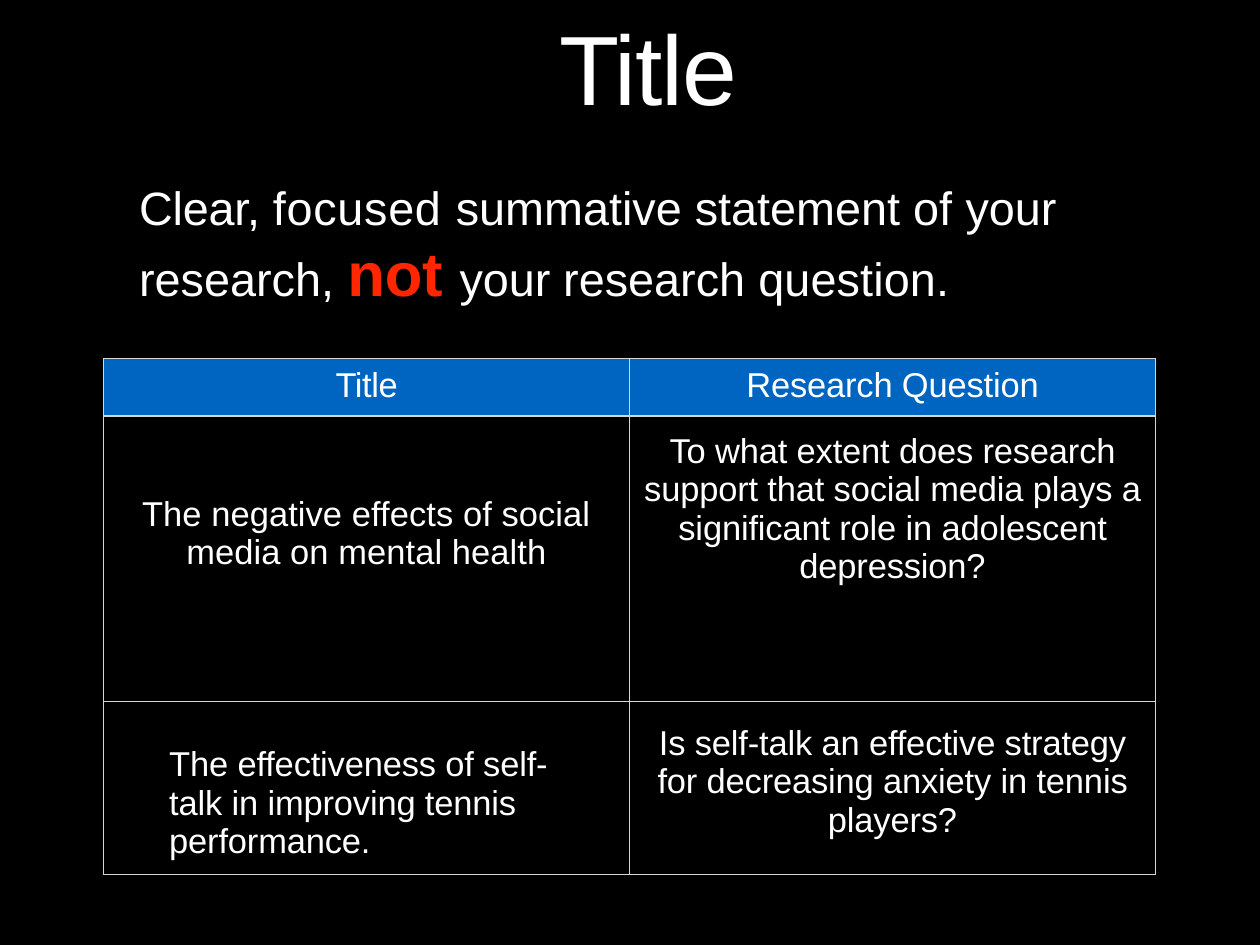
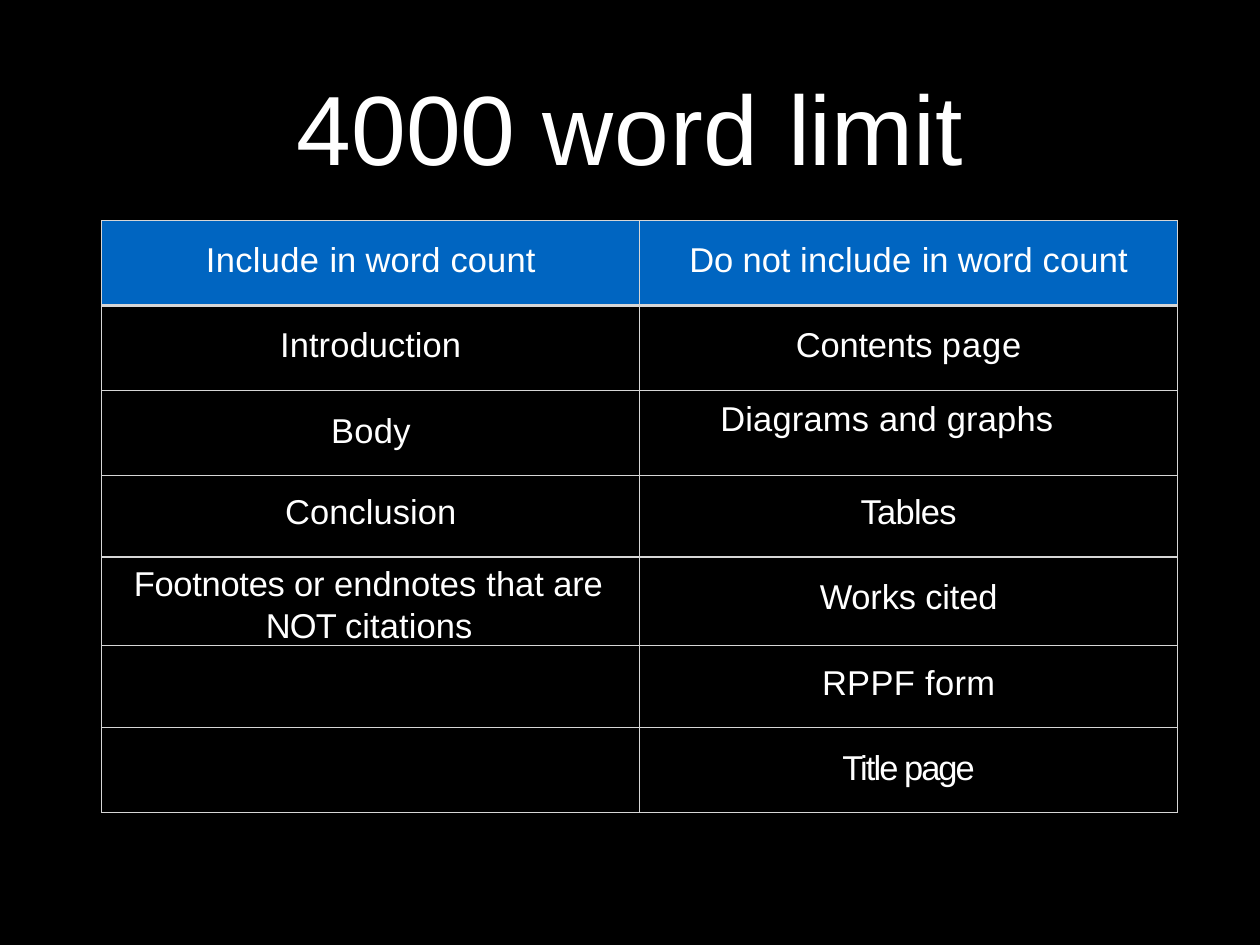
from dataclasses import dataclass

import pptx
import pptx.dml.color
import pptx.enum.text
import pptx.oxml
import pptx.oxml.ns
import pptx.util
from pptx.util import Inches

RGBColor = pptx.dml.color.RGBColor
Pt = pptx.util.Pt
ALIGN = pptx.enum.text.PP_ALIGN

FONT = "Arial"
BLACK = RGBColor(0x00, 0x00, 0x00)
WHITE = RGBColor(0xFF, 0xFF, 0xFF)
RED = RGBColor(0xFF, 0x26, 0x00)
HEADER_BLUE = RGBColor(0x00, 0x65, 0xC1)
BORDER_GREY = RGBColor(0xD6, 0xD6, 0xD6)

TITLE_SIZE, STATEMENT_SIZE, EMPHASIS_SIZE, CELL_SIZE = 80, 38, 50, 28
THIN, THICK = 1, 2.25
TITLE_HEIGHT = 1.36


@dataclass
class Cell:
    """Runs are (text, letter spacing in points); lengths are inches."""
    runs: tuple
    top: float = 0.24
    left: float = 0
    right: float = 0
    centred: bool = True
    hanging: float = 0
    line_points: float = 0


EMPTY = Cell(())

STATEMENT = [
    ("Clear, ", -0.2), ("focused ", 0.6), ("summative statement of ", 0),
    ("your ", -0.1), ("research, ", 0), ("not ", -0.1), ("your ", -0.1),
    ("research ", 0), ("question.", 0.1),
]
EMPHASIS = "not "

WORD_COUNT = (("in ", -0.1), ("word ", 0.1), ("count", 0.2))

SLIDES = [
    {
        "title": [("Title", -0.9)],
        "title_box": (6.31, 0.07, 2.07),
        "statement": STATEMENT,
        "table_box": (1.17, 4.05, 11.87),
        "row_heights": [0.65, 3.22, 1.95],
        "rows": [
            (Cell((("Title", -0.3),), top=0.09),
             Cell((("Research Question", -0.1),), top=0.09)),
            (Cell((("The negative effects of social media on mental health", 0.1),),
                  top=0.89),
             Cell((("To what extent does research support that social media plays "
                    "a significant role in adolescent depression?", -0.1),),
                  top=0.18, left=0.1, right=0.1)),
            (Cell((("The effectiveness of self-talk in improving tennis "
                    "performance.", -0.1),),
                  top=0.5, left=0.74, right=0.6, centred=False),
             Cell((("Is self-talk an effective strategy for decreasing anxiety "
                    "in tennis players?", -0.1),),
                  top=0.26, left=0.1, right=0.1)),
        ],
    },
    {
        "title": [("4000 ", -0.1), ("word ", 0.7), ("limit", -0.1)],
        "title_box": (3.35, 0.75, 7.54),
        "table_box": (1.15, 2.49, 12.14),
        "row_heights": [0.96, 0.96, 0.96, 0.92, 0.96, 0.92, 0.96],
        "rows": [
            (Cell((("Include ", 0.3), *WORD_COUNT)),
             Cell((("Do ", -0.1), ("not ", 0), ("include ", 0.3), *WORD_COUNT))),
            (Cell((("Introduction", 0.1),)),
             Cell((("Contents ", -0.1), ("page", 0.8)))),
            (Cell((("Body", 0.3),), top=0.25),
             Cell((("Diagrams and graphs", 0.2),), top=0.07, left=0.91,
                  centred=False, line_points=34)),
            (Cell((("Conclusion", 0.1),), top=0.2),
             Cell((("Tables", -0.6),), top=0.2)),
            (Cell((("Footnotes ", -0.2), ("or ", -0.1), ("endnotes ", 0.1),
                   ("that ", 0), ("are ", -0.2), ("NOT ", -0.6), ("citations", 0.1)),
                  top=0.06, left=0.36, centred=False, hanging=1.49, line_points=34),
             Cell((("Works cited", -0.1),))),
            (EMPTY, Cell((("RPPF form", 0.3),), top=0.21)),
            (EMPTY, Cell((("Title page", -1.6),), top=0.25)),
        ],
    },
]


def add_run(paragraph, text, spacing, size, color=WHITE, bold=False):
    run = paragraph.add_run()
    run.text = text
    run.font.name = FONT
    run.font.size = Pt(size)
    run.font.bold = bold
    run.font.color.rgb = color
    run._r.get_or_add_rPr().set("spc", str(round(spacing * 100)))


def set_margins(frame, left=0, top=0, right=0, bottom=0):
    """Set the insets of a text frame or a table cell."""
    frame.margin_left, frame.margin_top = Inches(left), Inches(top)
    frame.margin_right, frame.margin_bottom = Inches(right), Inches(bottom)


def prepare_frame(frame):
    frame.word_wrap = True
    frame.auto_size = pptx.enum.text.MSO_AUTO_SIZE.NONE
    frame.vertical_anchor = pptx.enum.text.MSO_ANCHOR.TOP
    set_margins(frame, top=0.01)
    paragraph = frame.paragraphs[0]
    paragraph.alignment = ALIGN.LEFT
    return paragraph


def add_title(slide, runs, box):
    title = slide.shapes.title
    left, top, width = box
    title.left, title.top = Inches(left), Inches(top)
    title.width, title.height = Inches(width), Inches(TITLE_HEIGHT)
    paragraph = prepare_frame(title.text_frame)
    paragraph.line_spacing = 1.0
    for text, spacing in runs:
        add_run(paragraph, text, spacing, TITLE_SIZE)


def add_statement(slide, runs):
    box = slide.shapes.add_textbox(Inches(1.57), Inches(2), Inches(10.88), Inches(1.5))
    paragraph = prepare_frame(box.text_frame)
    paragraph.line_spacing = 1.01
    for text, spacing in runs:
        if text == EMPHASIS:
            add_run(paragraph, text, spacing, EMPHASIS_SIZE, RED, True)
        else:
            add_run(paragraph, text, spacing, STATEMENT_SIZE)


def set_borders(cell, top, bottom):
    properties = cell._tc.get_or_add_tcPr()
    for side, width in (("L", THIN), ("R", THIN), ("T", top), ("B", bottom)):
        properties.append(pptx.oxml.parse_xml(
            f'<a:ln{side} {pptx.oxml.ns.nsdecls("a")} w="{Pt(width)}">'
            f'<a:solidFill><a:srgbClr val="{BORDER_GREY}"/></a:solidFill>'
            f'</a:ln{side}>'))


def fill_cell(cell, content, row_index):
    set_borders(cell, THICK if row_index == 1 else THIN,
                THICK if row_index == 0 else THIN)
    cell.fill.solid()
    cell.fill.fore_color.rgb = BLACK if row_index else HEADER_BLUE
    set_margins(cell, content.left, content.top, content.right)
    paragraph = cell.text_frame.paragraphs[0]
    paragraph.alignment = ALIGN.CENTER if content.centred else ALIGN.LEFT
    if content.line_points:
        paragraph.line_spacing = Pt(content.line_points)
    if content.hanging:
        properties = paragraph._p.get_or_add_pPr()
        properties.set("marL", str(Inches(content.hanging)))
        properties.set("indent", str(-Inches(content.hanging)))
    for text, spacing in content.runs:
        add_run(paragraph, text, spacing, CELL_SIZE)


def add_comparison_table(slide, rows, row_heights, box):
    left, top, width = box
    column_count = len(rows[0])
    table = slide.shapes.add_table(
        len(rows), column_count, Inches(left), Inches(top),
        Inches(width), Inches(sum(row_heights))).table
    table.horz_banding = False
    for column in table.columns:
        column.width = Inches(width / column_count)
    for row_index, (contents, height) in enumerate(zip(rows, row_heights)):
        table.rows[row_index].height = Inches(height)
        for column_index, content in enumerate(contents):
            fill_cell(table.cell(row_index, column_index), content, row_index)


def main():
    presentation = pptx.Presentation()
    presentation.slide_width = Inches(14.22)
    presentation.slide_height = Inches(10.67)
    background = presentation.slide_master.background.fill
    background.solid()
    background.fore_color.rgb = BLACK
    title_only = presentation.slide_layouts.get_by_name("Title Only")
    for content in SLIDES:
        slide = presentation.slides.add_slide(title_only)
        add_title(slide, content["title"], content["title_box"])
        if "statement" in content:
            add_statement(slide, content["statement"])
        add_comparison_table(slide, content["rows"], content["row_heights"],
                             content["table_box"])
    presentation.save("out.pptx")


if __name__ == "__main__":
    main()
